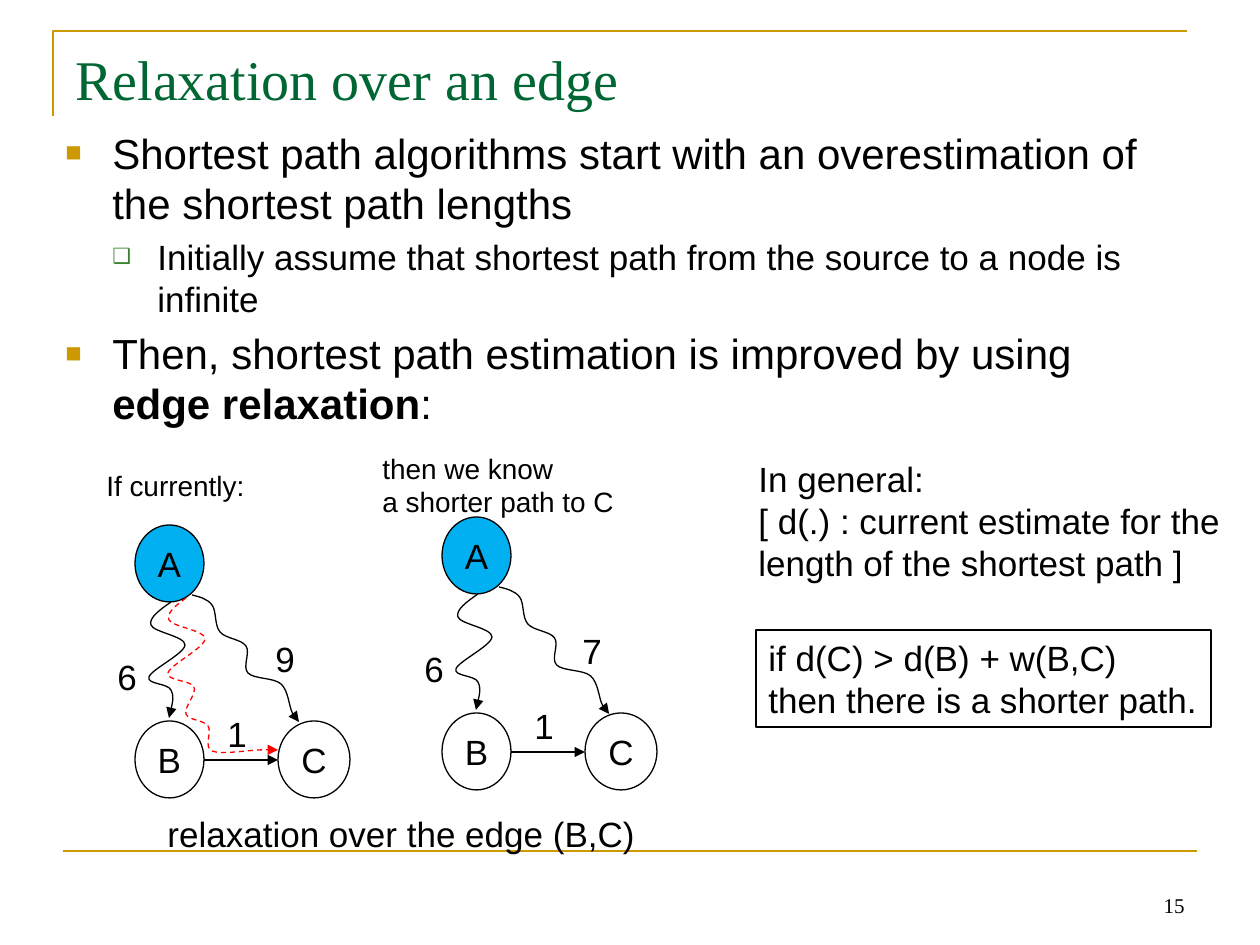
from lxml import etree
from pptx import Presentation
from pptx.dml.color import RGBColor
from pptx.enum.dml import MSO_LINE
from pptx.enum.shapes import MSO_CONNECTOR, MSO_SHAPE
from pptx.enum.text import MSO_ANCHOR, MSO_AUTO_SIZE, PP_ALIGN
from pptx.oxml.ns import qn
from pptx.util import Pt

SCALE = 914400 / 126
LEFT, MID, RIGHT = PP_ALIGN.LEFT, PP_ALIGN.CENTER, PP_ALIGN.RIGHT
TOP, CENTER, BOTTOM = MSO_ANCHOR.TOP, MSO_ANCHOR.MIDDLE, MSO_ANCHOR.BOTTOM
GROW, FIXED = MSO_AUTO_SIZE.SHAPE_TO_FIT_TEXT, MSO_AUTO_SIZE.NONE
OVAL, RECT = MSO_SHAPE.OVAL, MSO_SHAPE.RECTANGLE
STRAIGHT, DASH = MSO_CONNECTOR.STRAIGHT, MSO_LINE.DASH
SANS, SERIF = "Arial", "Times New Roman"
COLORS = {"black": "000000", "gold": "CC9900", "title": "006633",
          "mark": "3B812F", "blue": "00B0F0", "red": "FF0000"}

SHORT = [(171, 602), (151, 625), (185, 645), (149, 677), (171, 690),
         (169, 718)]
LONG = [(192, 595), (212, 605), (220, 632), (246, 646), (248, 673),
        (281, 684), (292, 712), (299, 722)]
RELAXED = [(186, 598), (169, 620), (205, 639), (168, 673), (194, 687),
           (186, 714), (208, 726), (212, 751), (260, 750), (278, 750)]
BULLETS = [
    (0, ["Shortest path algorithms start with an overestimation of "
         "the shortest path lengths"]),
    (1, ["Initially assume that shortest path from the source to a node "
         "is infinite"]),
    (0, ["Then, shortest path estimation is improved by using ",
         "edge relaxation", ":"]),
]
LEVELS = [(24, 47, 47, "■", "gold", 65), (20, 92, 45, "❑", "mark", 60)]


def px(n):
    return round(n * SCALE)


def rgb(name):
    return RGBColor.from_string(COLORS[name])


def sub(node, tag, **attrs):
    return etree.SubElement(node, qn(tag), attrs)


def style(font, size, color="black", face=SANS):
    font.size = Pt(size)
    font.name = face
    font.color.rgb = rgb(color)


def stroke(shape, color="black", width=0.75, dash=None, arrow=False):
    line = shape.line
    line.color.rgb = rgb(color)
    line.width = Pt(width)
    if dash:
        line.dash_style = dash
    if arrow:
        sub(line._get_or_add_ln(), "a:tailEnd", type="triangle")


def write(shape, text, size, color="black", face=SANS, align=LEFT,
          anchor=TOP, wrap=False, fit=GROW):
    frame = shape.text_frame
    frame.text = text
    frame.word_wrap = wrap
    frame.auto_size = fit
    frame.vertical_anchor = anchor
    for para in frame.paragraphs:
        para.alignment = align
        for run in para.runs:
            style(run.font, size, color, face)


def label(slide, text, box, size=20, **opts):
    shape = slide.shapes.add_textbox(*map(px, box))
    write(shape, text, size, **opts)


def block(slide, kind, text, box, fill=None, **opts):
    shape = slide.shapes.add_shape(kind, *map(px, box))
    shape.shadow.inherit = False
    if fill:
        shape.fill.solid()
        shape.fill.fore_color.rgb = rgb(fill)
    else:
        shape.fill.background()
    stroke(shape)
    write(shape, text, 20, **opts)


def line(slide, start, end, **opts):
    shape = slide.shapes.add_connector(STRAIGHT, *map(px, start + end))
    stroke(shape, **opts)
    sub(shape._element.spPr, "a:effectLst")


def trace(slide, points, **opts):
    spots = [(px(x), px(y)) for x, y in points]
    pen = slide.shapes.build_freeform(*spots[0], scale=1.0)
    pen.add_line_segments(spots[1:], close=False)
    shape = pen.convert_to_shape()
    shape.shadow.inherit = False
    shape.fill.background()
    stroke(shape, **opts)
    return shape


def blend(a, b, part):
    return tuple(p + (q - p) * part for p, q in zip(a, b))


def lean(point, prev, after, sign):
    return tuple(p + sign * (b - a) / 6
                 for p, a, b in zip(point, prev, after))


def curve(slide, points, **opts):
    shape = trace(slide, points, arrow=True, **opts)
    track = next(shape._element.iter(qn("a:path")))
    spots = [(int(p.get("x")), int(p.get("y")))
             for p in track.iter(qn("a:pt"))]
    last = len(spots) - 1
    for old in track.findall(qn("a:lnTo")):
        track.remove(old)
    for i in range(last):
        a, b = spots[i], spots[i + 1]
        out = lean(a, spots[i - 1], b, 1) if i else None
        back = lean(b, a, spots[i + 2], -1) if i + 1 < last else None
        out = out or blend(a, back, 0.5)
        back = back or blend(b, out, 0.5)
        bend = sub(track, "a:cubicBezTo")
        for x, y in (out, back, b):
            sub(bend, "a:pt", x=str(round(x)), y=str(round(y)))


def graph(slide, dx, dy, cost, stretch=1):
    def move(points, grow=1):
        x0 = points[0][0]
        return [(x0 + (x - x0) * grow + dx, y + dy) for x, y in points]

    for name, x, y, wide, fill in (("A", 135, 525, 69, "blue"),
                                   ("B", 135, 721, 69, None),
                                   ("C", 278, 721, 72, None)):
        block(slide, OVAL, name, (x + dx, y + dy, wide, 77), fill,
              align=MID, anchor=CENTER, fit=FIXED)
    line(slide, *move([(204, 760), (278, 760)]), arrow=True)
    curve(slide, move(SHORT))
    curve(slide, move(LONG, stretch))
    for text, x, y in (("6", 105, 649), (cost, 263, 631), ("1", 215, 706)):
        label(slide, text, (x + dx, y + dy, 45, 55))


def bullets(slide, box):
    frame = slide.shapes.add_textbox(*map(px, box)).text_frame
    frame.word_wrap = True
    for i, (level, parts) in enumerate(BULLETS):
        size, left, hang, sign, color, scale = LEVELS[level]
        para = frame.add_paragraph() if i else frame.paragraphs[0]
        para.level = level
        para.space_before = Pt(size * 0.2)
        for j, part in enumerate(parts):
            run = para.add_run()
            run.text = part
            style(run.font, size)
            run.font.bold = j == 1
        props = para._p.get_or_add_pPr()
        props.set("marL", str(px(left)))
        props.set("indent", str(-px(hang)))
        sub(sub(props, "a:buClr"), "a:srgbClr", val=COLORS[color])
        sub(props, "a:buSzPct", val=str(scale * 1000))
        sub(props, "a:buFont", typeface=SANS)
        sub(props, "a:buChar", char=sign)


def main():
    deck = Presentation()
    deck.slide_width, deck.slide_height = px(1260), px(945)
    slide = deck.slides.add_slide(deck.slide_layouts[6])
    trace(slide, [(53, 116), (53, 31), (1187, 31)], color="gold", width=1.5)
    line(slide, (63, 851), (1197, 851), color="gold", width=1.5)
    label(slide, "15", (903, 861, 294, 63), 12, face=SERIF, align=RIGHT,
          anchor=BOTTOM, wrap=True, fit=FIXED)
    label(slide, "Relaxation over an edge", (63, 38, 1134, 158), 32,
          color="title", face=SERIF, wrap=True, fit=FIXED)
    bullets(slide, (53, 121, 1134, 624))
    graph(slide, 0, 0, "9")
    graph(slide, 307, -8, "7", 1.03)
    label(slide, "If currently:", (94, 462, 166, 47), 16)
    label(slide, "then we know \va shorter path to C",
          (370, 445, 260, 81), 16)
    label(slide, "relaxation over the edge (B,C)", (155, 806, 496, 55))
    curve(slide, RELAXED, color="red", dash=DASH)
    label(slide, "In general:\n[ d(.) : current estimate for the\n"
          "length of the shortest path ]", (746, 451, 499, 140))
    block(slide, RECT, "if d(C) > d(B) + w(B,C)\n"
          "then there is a shorter path.", (756, 630, 455, 97))
    deck.save("out.pptx")


if __name__ == "__main__":
    main()
